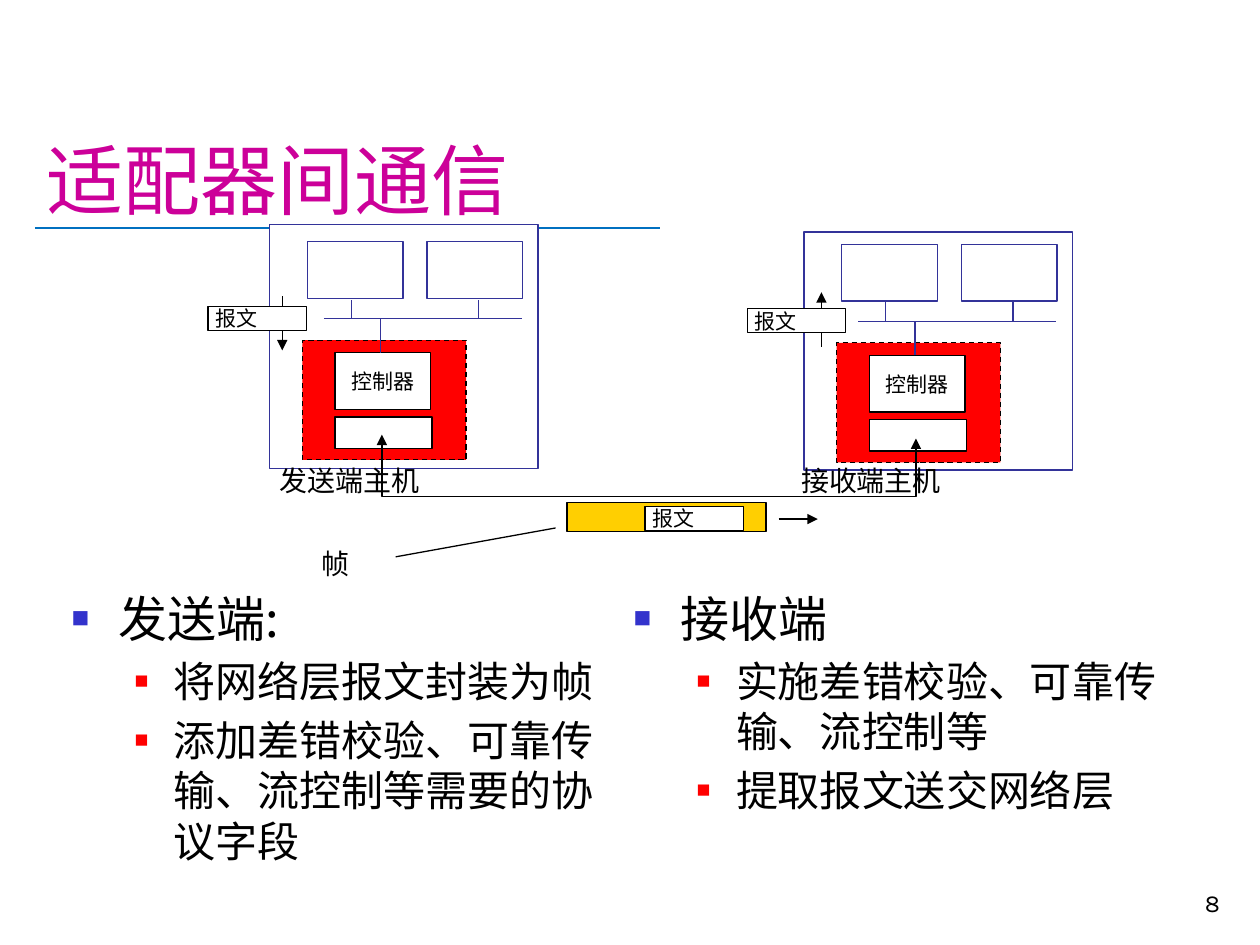
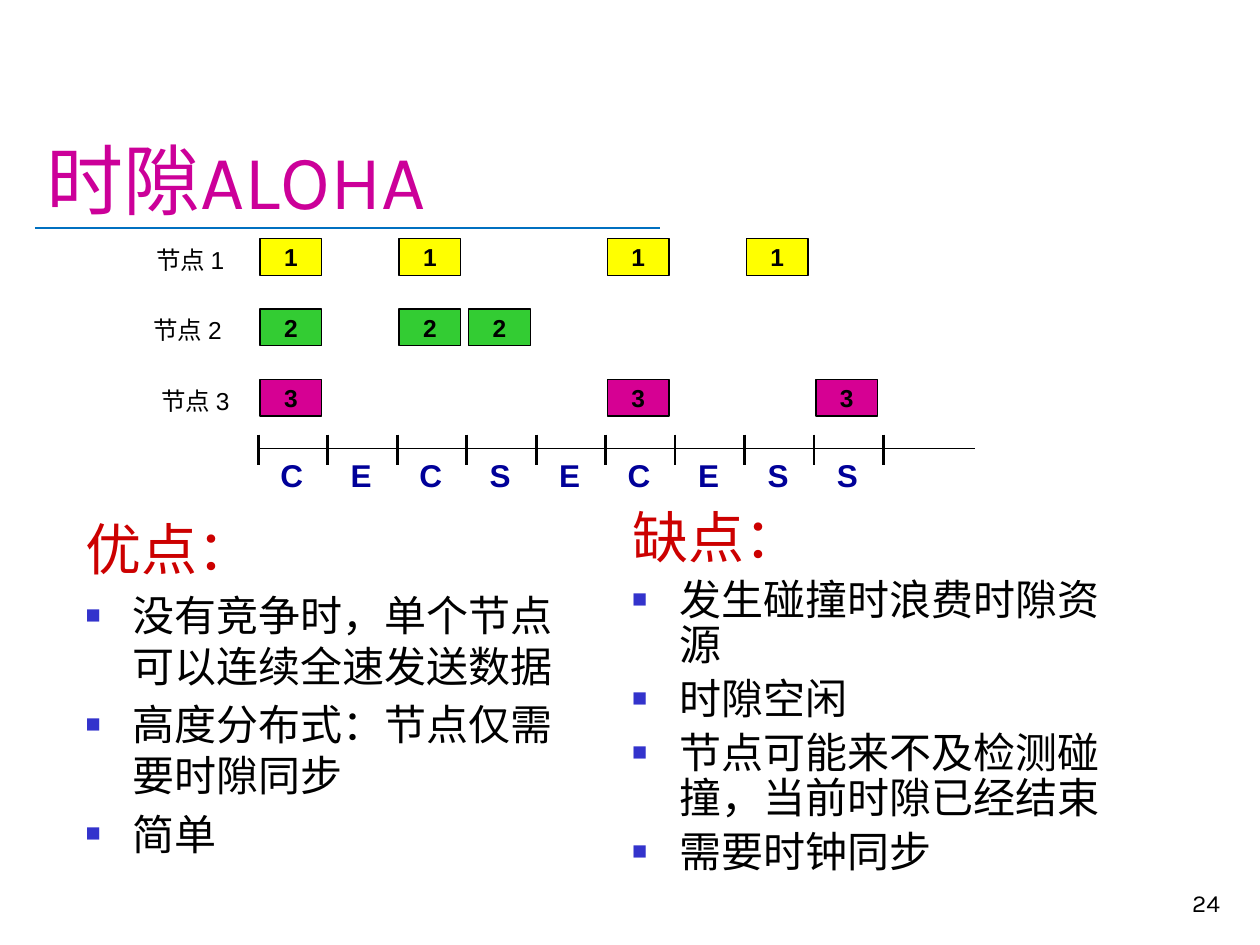
import lxml.etree
import pptx
import pptx.dml.color
import pptx.enum.dml
import pptx.enum.shapes
import pptx.enum.text
import pptx.oxml.ns
import pptx.util

Pt = pptx.util.Pt
qn = pptx.oxml.ns.qn
ALIGN = pptx.enum.text.PP_ALIGN
ANCHOR = pptx.enum.text.MSO_ANCHOR

COLOURS = {
    "title": "CC0099", "rule": "0070C0", "black": "000000", "white": "FFFFFF",
    "host": "333399", "adapter": "FF0000", "frame": "FFCF01",
    "bullet": "3333CC", "sub_bullet": "FF0000", "heading": "CC0000",
    "node1": "FFFF00", "node2": "33CC33", "node3": "D60093", "outcome": "000099",
}
HEAD_FONT, CJK_FONT, PROS_FONT, LABEL_FONT = "Karla", "Noto Sans CJK SC", "Calibri", "Arial"

# Text levels: size, colour, left margin, hanging indent, bullet colour, bullet percent
LEVELS = {
    "heading": (32, "heading", 27, 27, None, None),
    "topic": (28, "black", 27, 27, "bullet", 60),
    "detail": (24, "black", 58.5, 22.5, "sub_bullet", 55),
    "point": (24, "black", 27, 27, "bullet", 60),
}


def rgb(name):
    return pptx.dml.color.RGBColor.from_string(COLOURS[name])


def style_font(paragraph, size, font, colour, bold=False):
    paragraph.font.size = Pt(size)
    paragraph.font.name = font
    paragraph.font.bold = bold
    paragraph.font.color.rgb = rgb(colour)


def add_text(slide, text, left, top, width, height, size, font, colour="black",
             bold=False, align=ALIGN.LEFT, anchor=ANCHOR.TOP, wrap=False):
    frame = slide.shapes.add_textbox(Pt(left), Pt(top), Pt(width), Pt(height)).text_frame
    frame.word_wrap = wrap
    frame.vertical_anchor = anchor
    paragraph = frame.paragraphs[0]
    paragraph.text = text
    paragraph.alignment = align
    style_font(paragraph, size, font, colour, bold)


def add_box(slide, left, top, width, height, fill="white", line="black", dashed=False):
    box = slide.shapes.add_shape(pptx.enum.shapes.MSO_SHAPE.RECTANGLE,
                                 Pt(left), Pt(top), Pt(width), Pt(height))
    box.shadow.inherit = False
    box.fill.solid()
    box.fill.fore_color.rgb = rgb(fill)
    box.line.color.rgb = rgb(line)
    box.line.width = Pt(0.75)
    if dashed:
        box.line.dash_style = pptx.enum.dml.MSO_LINE.DASH
    return box


def label_box(box, text, size, font, bold=False, align=ALIGN.CENTER, inset=0):
    frame = box.text_frame
    frame.word_wrap = False
    frame.vertical_anchor = ANCHOR.MIDDLE
    frame.margin_left = Pt(inset)
    frame.margin_right = frame.margin_top = frame.margin_bottom = Pt(0)
    paragraph = frame.paragraphs[0]
    paragraph.text = text
    paragraph.alignment = align
    style_font(paragraph, size, font, "black", bold)


def add_arrowheads(shape, *ends):
    """Put triangles on the given ends: headEnd is the start, tailEnd the finish."""
    outline = shape.line._get_or_add_ln()
    for end in ends:
        lxml.etree.SubElement(outline, qn(f"a:{end}"), type="triangle")


def add_line(slide, x1, y1, x2, y2, colour="black", width=0.75, arrow=False):
    line = slide.shapes.add_connector(pptx.enum.shapes.MSO_CONNECTOR.STRAIGHT,
                                      Pt(x1), Pt(y1), Pt(x2), Pt(y2))
    line.line.color.rgb = rgb(colour)
    line.line.width = Pt(width)
    lxml.etree.SubElement(line._element.spPr, qn("a:effectLst"))
    if arrow:
        add_arrowheads(line, "tailEnd")


def add_bullet(paragraph, margin, hanging, colour, percent):
    properties = paragraph._p.get_or_add_pPr()
    properties.set("marL", str(Pt(margin)))
    properties.set("indent", str(-Pt(hanging)))
    if colour is None:
        lxml.etree.SubElement(properties, qn("a:buNone"))
        return
    bullet_colour = lxml.etree.SubElement(properties, qn("a:buClr"))
    lxml.etree.SubElement(bullet_colour, qn("a:srgbClr"), val=COLOURS[colour])
    lxml.etree.SubElement(properties, qn("a:buSzPct"), val=str(percent * 1000))
    lxml.etree.SubElement(properties, qn("a:buFont"), typeface=LABEL_FONT)
    lxml.etree.SubElement(properties, qn("a:buChar"), char="■")


def add_outline(slide, left, top, width, height, items, font, line_spacing=None):
    """Write (level, text) items as one bulleted column."""
    frame = slide.shapes.add_textbox(Pt(left), Pt(top), Pt(width), Pt(height)).text_frame
    frame.word_wrap = True
    for index, (level, text) in enumerate(items):
        size, colour, margin, hanging, bullet_colour, percent = LEVELS[level]
        paragraph = frame.add_paragraph() if index else frame.paragraphs[0]
        paragraph.text = text
        add_bullet(paragraph, margin, hanging, bullet_colour, percent)
        if index:
            paragraph.space_before = Pt(0.2 * size)
        if line_spacing:
            paragraph.line_spacing = line_spacing
        style_font(paragraph, size, font, colour)


def start_slide(deck, title, number):
    slide = deck.slides.add_slide(deck.slide_layouts[6])
    add_line(slide, 20, 130.3, 377.3, 130.3, "rule", 1.25)
    add_text(slide, title, 19.4, 16.6, 684.7, 115.2, 44, HEAD_FONT, "title",
             anchor=ANCHOR.BOTTOM, wrap=True)
    add_text(slide, number, 554.4, 491.8, 149.8, 36, 14, HEAD_FONT,
             align=ALIGN.RIGHT, anchor=ANCHOR.BOTTOM, wrap=True)
    return slide


def add_host(slide, left, top, bottom, inner_top):
    """Draw a host: two units on a bus that leads down to the adapter."""
    add_box(slide, left, top, 153.4, bottom - top, line="host")
    add_box(slide, left + 18.7, inner_top + 56.2, 93.6, 68.4, "adapter", dashed=True)
    add_box(slide, left + 37.4, inner_top + 100.1, 55.4, 18)
    controller = add_box(slide, left + 37.4, inner_top + 63.4, 54.7, 32.4)
    label_box(controller, "控制器", 12, CJK_FONT)
    bus = inner_top + 43.9
    add_line(slide, left + 31, bus, left + 144, bus, "host")
    add_line(slide, left + 63.4, inner_top + 63.4, left + 63.4, bus, "host")
    for unit, stem in ((21.6, 46.8), (90, 119.5)):
        add_box(slide, left + unit, inner_top, 54.7, 32.4, line="host")
        add_line(slide, left + stem, bus, left + stem, inner_top + 33, "host")


def add_packet(slide, left, top):
    label_box(add_box(slide, left, top, 56.2, 13.7), "报文", 12, CJK_FONT,
              align=ALIGN.LEFT, inset=4.3)


def add_adapter_link(slide):
    builder = slide.shapes.build_freeform(Pt(218.2), Pt(248.4))
    builder.add_line_segments([(Pt(218.2), Pt(283.7)), (Pt(523.4), Pt(283.7)),
                               (Pt(523.4), Pt(250.6))], close=False)
    link = builder.convert_to_shape()
    link.shadow.inherit = False
    link.fill.background()
    link.line.color.rgb = rgb("black")
    link.line.width = Pt(0.75)
    add_arrowheads(link, "headEnd", "tailEnd")


def build_adapter_slide(deck):
    slide = start_slide(deck, "适配器间通信", "8")
    add_outline(slide, 33.8, 332.6, 320.4, 152.6, [
        ("topic", "发送端:"),
        ("detail", "将网络层报文封装为帧"),
        ("detail", "添加差错校验、可靠传输、流控制等需要的协议字段"),
    ], CJK_FONT)
    add_outline(slide, 355, 332.6, 321.8, 145.4, [
        ("topic", "接收端"),
        ("detail", "实施差错校验、可靠传输、流控制等"),
        ("detail", "提取报文送交网络层"),
    ], CJK_FONT)

    add_host(slide, 154.1, 128.2, 267.9, 138.2)
    add_host(slide, 459.4, 132.5, 268.6, 139.7)
    add_text(slide, "发送端主机", 152.6, 261.4, 99.4, 26.6, 16, CJK_FONT)
    add_text(slide, "接收端主机", 450.7, 261.4, 95, 26.6, 16, CJK_FONT)

    add_line(slide, 161.3, 169.2, 161.3, 200.2, arrow=True)
    add_packet(slide, 118.8, 175)
    add_line(slide, 469.4, 198, 469.4, 167, arrow=True)
    add_packet(slide, 427, 176.4)

    add_adapter_link(slide)
    add_box(slide, 324, 287.3, 113.8, 16.6, "frame")
    add_packet(slide, 368.6, 289.4)
    add_line(slide, 445, 296.6, 467.3, 296.6, arrow=True)
    add_text(slide, "帧", 176.4, 308.9, 31, 26.6, 16, CJK_FONT)
    add_line(slide, 226.1, 318.2, 317.5, 301.7)


def add_slot_diagram(slide):
    """Draw each node's transmissions and the outcome of every slot."""
    axis_left, axis_y, slot_width, slot_count = 147.6, 256.3, 39.7, 9
    transmissions = {1: (0, 2, 5, 7), 2: (0, 2, 3), 3: (0, 5, 8)}
    label_lefts = {1: 82.1, 2: 80.6, 3: 85}

    for node, slots in transmissions.items():
        top = 136.4 + (node - 1) * 40.2
        add_text(slide, f"节点 {node}", label_lefts[node], top, 54.7, 24.5, 14,
                 LABEL_FONT, wrap=True)
        for slot in slots:
            block = add_box(slide, axis_left + slot * slot_width + 1, top, 35.3, 20.9,
                            f"node{node}")
            label_box(block, str(node), 14, LABEL_FONT, bold=True)

    add_line(slide, axis_left, axis_y, 557.3, axis_y)
    for tick in range(slot_count + 1):
        x = axis_left + tick * slot_width
        add_line(slide, x, 248.4, x, 265.7, width=1.5)
    for slot in range(slot_count):
        senders = sum(slot in slots for slots in transmissions.values())
        outcome = ("E", "S", "C")[min(senders, 2)]
        add_text(slide, outcome, axis_left + slot * slot_width, 257, 38.2, 28.8, 18,
                 LABEL_FONT, "outcome", bold=True, align=ALIGN.CENTER)


def build_aloha_slide(deck):
    slide = start_slide(deck, "时隙ALOHA", "24")
    add_outline(slide, 41.8, 290.2, 300.2, 240, [
        ("heading", "优点："),
        ("point", "没有竞争时，单个节点可以连续全速发送数据"),
        ("point", "高度分布式：节点仅需要时隙同步"),
        ("point", "简单"),
    ], PROS_FONT)
    add_outline(slide, 354.2, 288, 300.2, 240, [
        ("heading", "缺点："),
        ("point", "发生碰撞时浪费时隙资源"),
        ("point", "时隙空闲"),
        ("point", "节点可能来不及检测碰撞，当前时隙已经结束"),
        ("point", "需要时钟同步"),
    ], PROS_FONT, line_spacing=0.9)
    add_slot_diagram(slide)


def main():
    deck = pptx.Presentation()
    deck.slide_width, deck.slide_height = Pt(720), Pt(540)
    build_adapter_slide(deck)
    build_aloha_slide(deck)
    deck.save("out.pptx")


if __name__ == "__main__":
    main()
